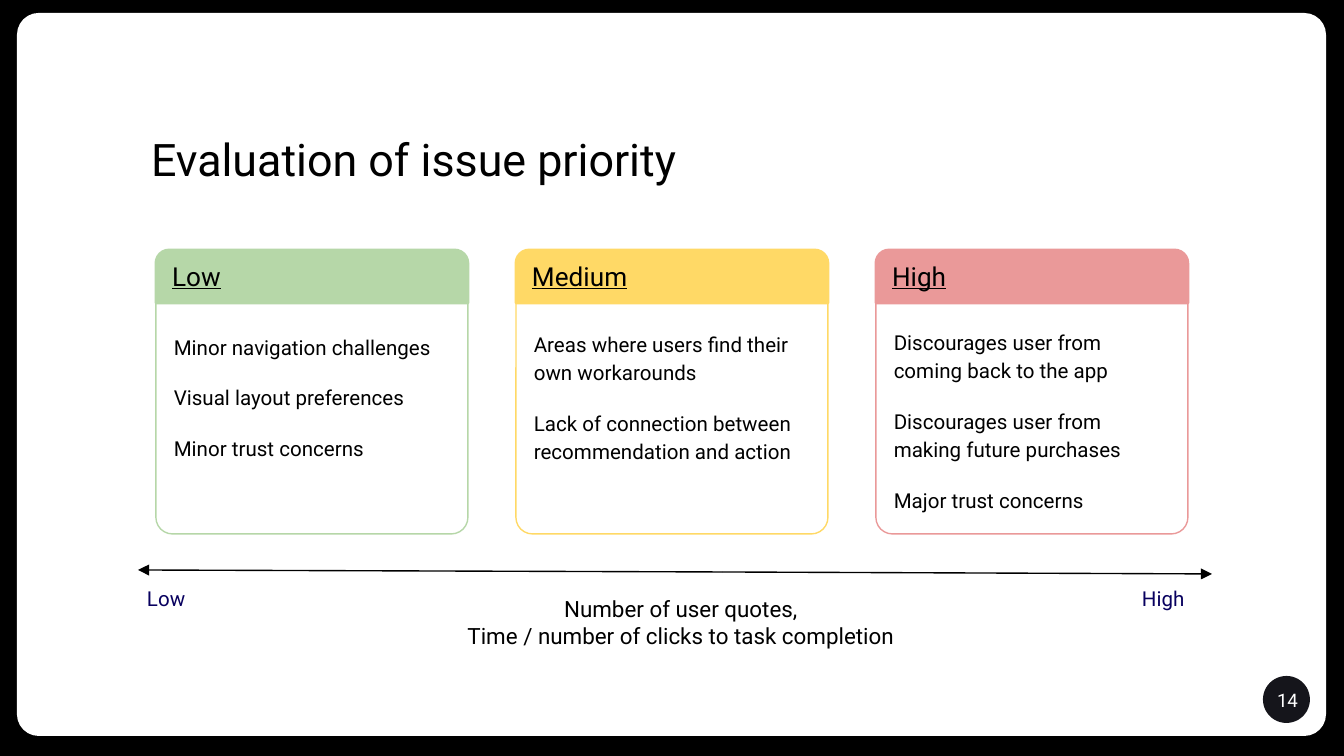
from dataclasses import dataclass

from lxml import etree
from pptx import Presentation
from pptx.dml.color import RGBColor
from pptx.enum.shapes import MSO_CONNECTOR, MSO_SHAPE
from pptx.enum.text import MSO_ANCHOR, PP_ALIGN
from pptx.oxml.ns import qn
from pptx.util import Emu, Pt

STRAIGHT = MSO_CONNECTOR.STRAIGHT
ROUND, ROUND_TOP, OVAL = (MSO_SHAPE.ROUNDED_RECTANGLE,
                          MSO_SHAPE.ROUND_2_SAME_RECTANGLE, MSO_SHAPE.OVAL)
TOP, MIDDLE = MSO_ANCHOR.TOP, MSO_ANCHOR.MIDDLE
LEFT, CENTER = PP_ALIGN.LEFT, PP_ALIGN.CENTER

BLACK = RGBColor(0x00, 0x00, 0x00)
WHITE = RGBColor(0xFF, 0xFF, 0xFF)
GREEN = RGBColor(0xB6, 0xD7, 0xA8)
YELLOW = RGBColor(0xFF, 0xD9, 0x66)
RED = RGBColor(0xEA, 0x99, 0x99)
NAVY = RGBColor(0x08, 0x00, 0x5F)
INK = RGBColor(0x15, 0x15, 0x1B)

FONT = "Roboto"
SLIDE_W, SLIDE_H = 1344, 756
EMU_PER_PX = 9144000 / SLIDE_W
INSET = 13
CARD_LEFT, CARD_PITCH, CARD_W = 156, 360, 312


@dataclass
class Box:
    x: int
    y: int
    w: int
    h: int


@dataclass
class Card:
    heading: str
    color: RGBColor
    points: list[str]
    top_inset: int = INSET


@dataclass
class Label:
    box: Box
    lines: list[str]
    size: int
    color: RGBColor = BLACK
    align: PP_ALIGN = LEFT
    anchor: MSO_ANCHOR = TOP
    underline: bool = False
    spacing: float = 1.0


CARDS = [
    Card("Low", GREEN, ["Minor navigation challenges", "Visual layout preferences",
                        "Minor trust concerns"]),
    Card("Medium", YELLOW, ["Areas where users find their own workarounds",
                            "Lack of connection between recommendation and action"]),
    Card("High", RED, ["Discourages user from coming back to the app",
                       "Discourages user from making future purchases",
                       "Major trust concerns"], top_inset=60),
]

LABELS = [
    Label(Box(138, 125, 1156, 122), ["Evaluation of issue priority"], 24, spacing=0.9),
    Label(Box(433, 582, 496, 90),
          ["Number of user quotes,", "Time / number of clicks to task completion"],
          12, align=CENTER),
    Label(Box(134, 574, 66, 47), ["Low"], 11, NAVY),
    Label(Box(1129, 574, 93, 47), ["High"], 11, NAVY),
    Label(Box(1247, 671, 81, 58), ["14"], 10, WHITE, CENTER, MIDDLE),
]


def px(n: int) -> Emu:
    return Emu(round(n * EMU_PER_PX))


def place(box: Box) -> tuple[Emu, ...]:
    return px(box.x), px(box.y), px(box.w), px(box.h)


def add_block(s, kind: MSO_SHAPE, box: Box, fill: RGBColor, line: RGBColor | None = None,
              width: float = 0.75, adjust: tuple[float, ...] = ()):
    sp = s.shapes.add_shape(kind, *place(box))
    sp.shadow.inherit = False
    sp.fill.solid()
    sp.fill.fore_color.rgb = fill
    if line is None:
        sp.line.fill.background()
    else:
        sp.line.color.rgb = line
        sp.line.width = Pt(width)
    for i, value in enumerate(adjust):
        sp.adjustments[i] = value
    return sp


def write(tf, lines: list[str], size: int, color: RGBColor, align: PP_ALIGN = LEFT,
          anchor: MSO_ANCHOR = TOP, underline: bool = False, spacing: float = 1.0,
          gap: int = 0, top_inset: int = INSET) -> None:
    frame = {"word_wrap": True, "vertical_anchor": anchor, "margin_left": px(INSET),
             "margin_right": px(INSET), "margin_top": px(top_inset),
             "margin_bottom": px(INSET)}
    for name, value in frame.items():
        setattr(tf, name, value)
    for i, text in enumerate(lines):
        p = tf.add_paragraph() if i else tf.paragraphs[0]
        p.alignment = align
        p.line_spacing = spacing
        if i and gap:
            p.space_before = Pt(gap)
        r = p.add_run()
        r.text = text
        font = {"name": FONT, "size": Pt(size), "underline": underline}
        for name, value in font.items():
            setattr(r.font, name, value)
        r.font.color.rgb = color


def add_label(s, label: Label) -> None:
    tf = s.shapes.add_textbox(*place(label.box)).text_frame
    write(tf, label.lines, label.size, label.color, label.align, label.anchor,
          label.underline, label.spacing)


def add_card(s, card: Card, x: int) -> None:
    body = add_block(s, ROUND, Box(x, 258, CARD_W, 276), WHITE, card.color, adjust=(0.06,))
    write(body.text_frame, card.points, 11, BLACK, anchor=MIDDLE, spacing=1.15, gap=12,
          top_inset=card.top_inset)
    add_block(s, ROUND_TOP, Box(x, 250, CARD_W, 53), card.color, card.color, 1.5, (0.25, 0))
    add_label(s, Label(Box(x + 3, 247, 277, 55), [card.heading], 14, underline=True))


def add_arrow(s, x1: int, y1: int, x2: int, y2: int) -> None:
    line = s.shapes.add_connector(STRAIGHT, px(x1), px(y1), px(x2), px(y2))
    line.line.color.rgb = BLACK
    line.line.width = Pt(0.75)
    etree.SubElement(line.line._get_or_add_ln(), qn("a:tailEnd"), type="triangle")
    etree.SubElement(line._element.spPr, qn("a:effectLst"))


def main() -> None:
    prs = Presentation()
    prs.slide_width, prs.slide_height = px(SLIDE_W), px(SLIDE_H)
    s = prs.slides.add_slide(prs.slide_layouts[6])

    # Background and page panel
    s.background.fill.solid()
    s.background.fill.fore_color.rgb = BLACK
    add_block(s, ROUND, Box(17, 13, 1309, 723), WHITE, adjust=(0.03,))

    # Priority cards
    for i, card in enumerate(CARDS):
        add_card(s, card, CARD_LEFT + i * CARD_PITCH)

    # Priority axis, drawn outwards from the middle
    add_arrow(s, 723, 572, 1212, 574)
    add_arrow(s, 723, 572, 138, 570)

    # Page number disc, title and captions
    add_block(s, OVAL, Box(1263, 676, 47, 47), INK)
    for label in LABELS:
        add_label(s, label)

    prs.save("out.pptx")


if __name__ == "__main__":
    main()
